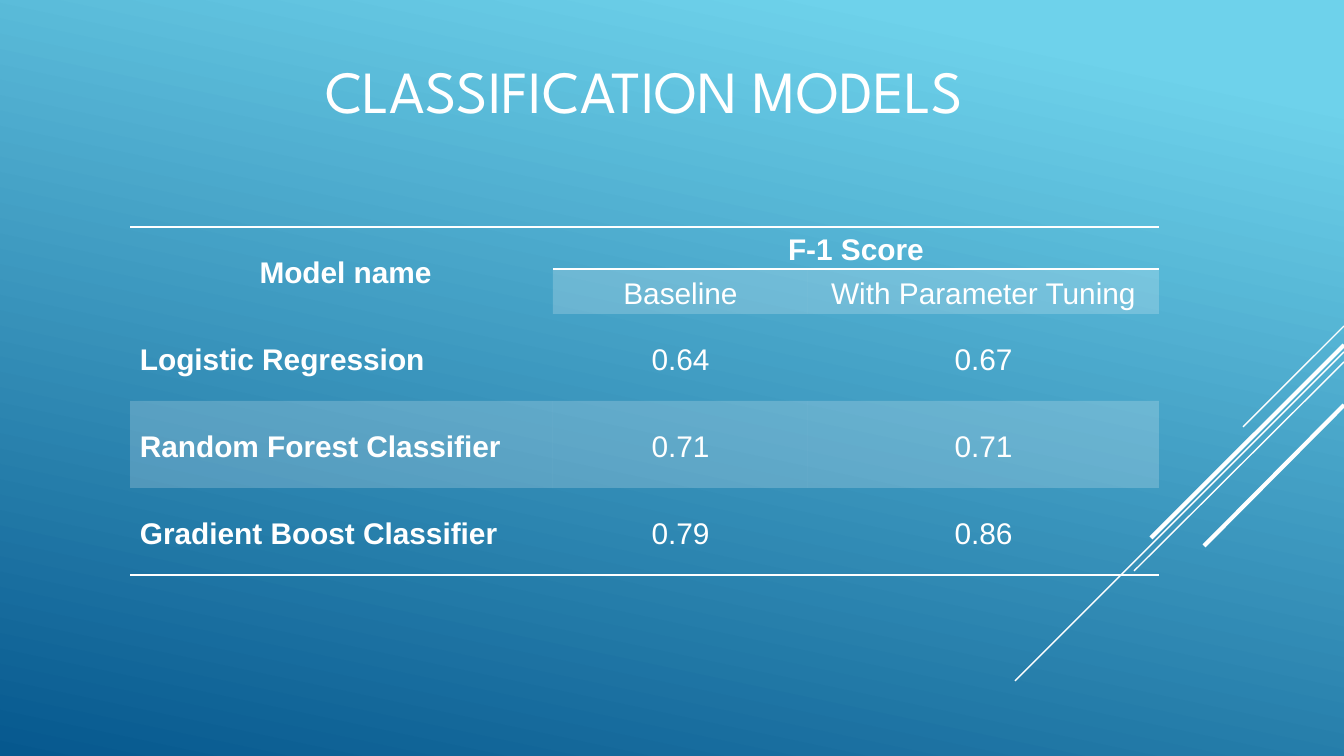
"""Build the slide that compares the F-1 scores of three classification models."""
from lxml import etree
from pptx import Presentation
from pptx.dml.color import RGBColor
from pptx.enum.shapes import MSO_CONNECTOR as Connector
from pptx.enum.text import MSO_ANCHOR as Anchor, PP_ALIGN as Align
from pptx.oxml import parse_xml
from pptx.oxml.ns import nsdecls, qn
from pptx.util import Pt

PX = 914400 / 134.4
WHITE = "FFFFFF"
NO_STYLE = "{2D5ABB26-0587-4C30-8999-92F81FD0307C}"


def px(length):
    return round(length * PX)


def color(code):
    return RGBColor.from_string(code)


deck = Presentation()
deck.slide_width, deck.slide_height = px(1344), px(756)
slide = deck.slides.add_slide(deck.slide_layouts[5])

backdrop = slide.background.fill
backdrop.gradient()
backdrop.gradient_angle = 258
for stop, (position, code) in zip(backdrop.gradient_stops, [(0.1, "6ED2EB"), (1, "06588E")]):
    stop.position = position
    stop.color.rgb = color(code)

streaks = [
    (1344, 326, 1243, 427, 0.75),
    (1344, 352, 1015, 681, 0.75),
    (1344, 362, 1134, 571, 0.75),
    (1344, 345, 1151, 538, 2.25),
    (1344, 405, 1204, 546, 2.25),
]
for *ends, weight in streaks:
    streak = slide.shapes.add_connector(Connector.STRAIGHT, *map(px, ends))
    streak.line.color.rgb = color(WHITE)
    streak.line.width = Pt(weight)
    etree.SubElement(streak.element.spPr, qn("a:effectLst"))

title = slide.shapes.title
title_box = {"left": 78, "top": 46, "width": 1133, "height": 87}
for side, length in title_box.items():
    setattr(title, side, px(length))
title_frame = title.text_frame
title_frame.text = "CLASSIFICATION MODELS"
title_frame.vertical_anchor = Anchor.MIDDLE
for side in ("left", "right", "top", "bottom"):
    setattr(title_frame, f"margin_{side}", px(13))
heading = title_frame.paragraphs[0]
heading.alignment = Align.CENTER
heading.font.color.rgb = color(WHITE)
for name, value in {"name": "League Spartan", "size": Pt(32), "bold": False}.items():
    setattr(heading.font, name, value)

rows = [
    [" Model name", "F-1 Score", ""],
    ["", "Baseline", "With Parameter Tuning"],
    ["Logistic Regression", "0.64", "0.67"],
    ["Random Forest Classifier", "0.71", "0.71"],
    ["Gradient Boost Classifier", "0.79", "0.86"],
]
column_widths = [423, 255, 351]
row_heights = [42, 45, 87, 87, 87]
shaded = {(1, 1), (1, 2), (3, 0), (3, 1), (3, 2)}
ruled = {
    "lnT": {(0, 0), (0, 1), (0, 2)},
    "lnB": {(0, 1), (0, 2), (1, 0), (4, 0), (4, 1), (4, 2)},
}
cell_format = {
    "vertical_anchor": Anchor.MIDDLE,
    "margin_left": px(10), "margin_right": px(10),
    "margin_top": 0, "margin_bottom": 0,
}

scores = slide.shapes.add_table(
    len(rows), len(column_widths), px(130), px(227),
    px(sum(column_widths)), px(sum(row_heights))).table
scores.first_row = scores.horz_banding = False
scores._tbl.tblPr.find(qn("a:tableStyleId")).text = NO_STYLE
for column, width in zip(scores.columns, column_widths):
    column.width = px(width)
for row, height in zip(scores.rows, row_heights):
    row.height = px(height)
scores.cell(0, 0).merge(scores.cell(1, 0))
scores.cell(0, 1).merge(scores.cell(0, 2))

for r, texts in enumerate(rows):
    for c, text in enumerate(texts):
        cell = scores.cell(r, c)
        for name, value in cell_format.items():
            setattr(cell, name, value)
        if text:
            cell.text = text
            entry = cell.text_frame.paragraphs[0]
            entry.alignment = Align.LEFT if r > 1 and c == 0 else Align.CENTER
            entry.line_spacing = 1.15
            entry.font.color.rgb = color(WHITE)
            bold = r == 0 or c == 0
            for name, value in {"name": "Arial", "size": Pt(16), "bold": bold}.items():
                setattr(entry.font, name, value)

        if (r, c) in shaded:
            cell.fill.solid()
            cell.fill.fore_color.rgb = color(WHITE)
            tint = cell._tc.tcPr.find(".//" + qn("a:srgbClr"))
            etree.SubElement(tint, qn("a:alpha"), val="20000")
        else:
            cell.fill.background()
        edges = [edge for edge, places in ruled.items() if (r, c) in places]
        for order, edge in enumerate(edges):
            cell._tc.tcPr.insert(order, parse_xml(
                f'<a:{edge} {nsdecls("a")} w="{Pt(1)}"><a:solidFill>'
                f'<a:srgbClr val="{WHITE}"/></a:solidFill></a:{edge}>'))

deck.save("out.pptx")
